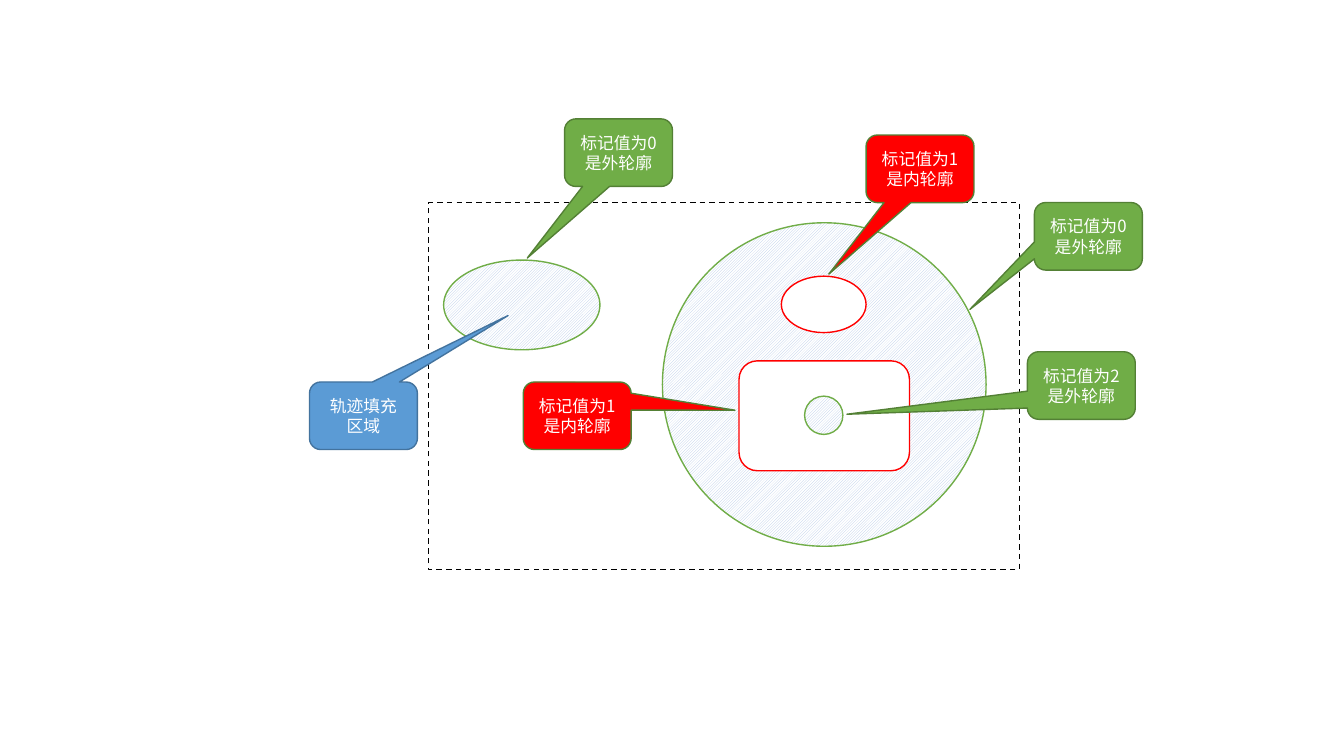
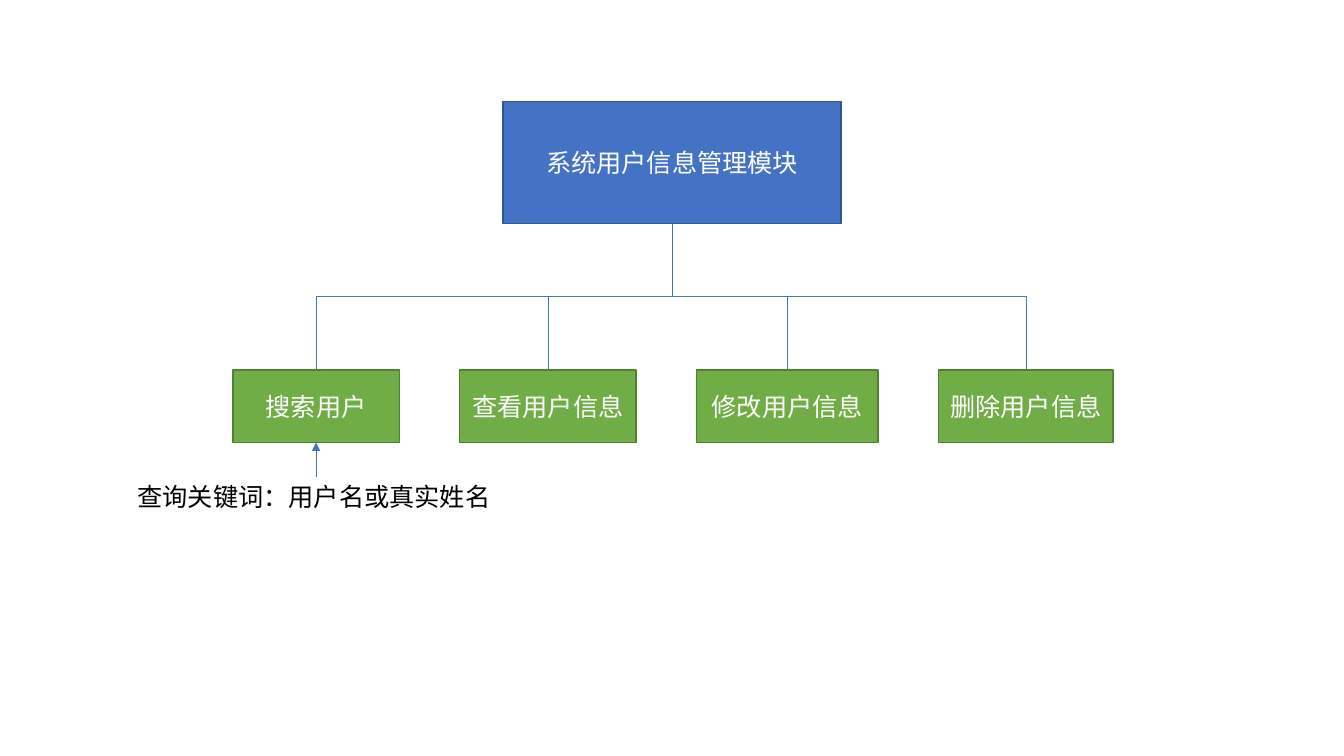
from lxml.etree import SubElement
from pptx import Presentation
from pptx.dml.color import RGBColor
from pptx.enum.dml import MSO_LINE, MSO_PATTERN
from pptx.enum.shapes import MSO_CONNECTOR as CONN, MSO_SHAPE as SHAPE
from pptx.enum.text import MSO_ANCHOR, MSO_AUTO_SIZE, PP_ALIGN
from pptx.oxml.ns import qn
from pptx.util import Inches, Pt

FONT = "Noto Sans CJK SC"
WHITE = RGBColor(0xFF, 0xFF, 0xFF)
BLACK = RGBColor(0x00, 0x00, 0x00)
RED = RGBColor(0xFF, 0x00, 0x00)
GREEN = RGBColor(0x70, 0xAD, 0x47)
MOSS = RGBColor(0x53, 0x80, 0x35)
SKY = RGBColor(0x5B, 0x9B, 0xD5)
STEEL = RGBColor(0x43, 0x73, 0x9E)
BLUE = RGBColor(0x44, 0x72, 0xC4)
NAVY = RGBColor(0x32, 0x54, 0x91)
HATCH = RGBColor(0xB4, 0xC7, 0xE7)


def add_text(shape, text, size, color, align):
    para = shape.text_frame.paragraphs[0]
    para.alignment = align
    run = para.add_run()
    run.text = text
    font = run.font
    font.size, font.name = Pt(size), FONT
    font.color.rgb = color
    SubElement(font._element, qn("a:ea"), typeface=FONT)


def add_box(shapes, kind, box, fill, line, text="", size=18):
    """Add a filled, outlined shape; a fill of None means hatching."""
    shape = shapes.add_shape(kind, *map(Inches, box))
    shape.shadow.inherit = False
    if fill is None:
        shape.fill.patterned()
        shape.fill.pattern = MSO_PATTERN.DARK_UPWARD_DIAGONAL
        shape.fill.fore_color.rgb = HATCH
        shape.fill.back_color.rgb = WHITE
    else:
        shape.fill.solid()
        shape.fill.fore_color.rgb = fill
    shape.line.color.rgb = line
    shape.line.width = Pt(1)
    if text:
        shape.text_frame.word_wrap = True
        shape.text_frame.vertical_anchor = MSO_ANCHOR.MIDDLE
        add_text(shape, text, size, WHITE, PP_ALIGN.CENTER)
    return shape


def add_call(shapes, left, top, tip, fill, line, text):
    """Add a callout whose pointer ends at tip."""
    wide, high = 1.07, 0.67
    call = add_box(shapes, SHAPE.ROUNDED_RECTANGULAR_CALLOUT,
                   (left, top, wide, high), fill, line, text, 12)
    call.adjustments[0] = (tip[0] - left) / wide - 0.5
    call.adjustments[1] = (tip[1] - top) / high - 0.5


def add_line(shapes, kind, start, end):
    line = shapes.add_connector(kind, *map(Inches, start + end))
    line.line.color.rgb = BLUE
    line.line.width = Pt(0.5)
    SubElement(line._element.spPr, qn("a:effectLst"))
    return line


def add_elbow(shapes, start, end):
    """Add an elbow that leaves start and reaches end vertically."""
    (x1, y1), (x2, y2) = start, end
    mid_x, mid_y = (x1 + x2) / 2, (y1 + y2) / 2
    half_w, half_h = (y2 - y1) / 2, abs(x2 - x1) / 2
    side = 1 if x2 < x1 else -1
    line = add_line(shapes, CONN.ELBOW,
                    (mid_x - side * half_w, mid_y - half_h),
                    (mid_x + side * half_w, mid_y + half_h))
    line.rotation = 0
    xfrm = line._element.spPr.find(qn("a:xfrm"))
    xfrm.set("rot", str((90 if side > 0 else 270) * 60000))


def draw_areas(shapes):
    frame = add_box(shapes, SHAPE.RECTANGLE, (4.25, 2.01, 5.86, 3.64),
                    WHITE, BLACK)
    frame.line.dash_style = MSO_LINE.DASH
    for kind, box, fill, line in (
            (SHAPE.OVAL, (4.4, 2.58, 1.55, 0.89), None, GREEN),
            (SHAPE.OVAL, (6.57, 2.21, 3.21, 3.21), None, GREEN),
            (SHAPE.OVAL, (7.75, 2.74, 0.84, 0.56), WHITE, RED),
            (SHAPE.ROUNDED_RECTANGLE, (7.33, 3.58, 1.69, 1.09), WHITE, RED),
            (SHAPE.OVAL, (7.98, 3.93, 0.38, 0.38), None, GREEN)):
        add_box(shapes, kind, box, fill, line)


def draw_calls(shapes):
    for left, top, tip, level in (
            (5.6, 1.18, (5.23, 2.56), 0),
            (8.59, 1.34, (8.22, 2.72), 1),
            (10.26, 2.01, (9.62, 3.07), 0),
            (5.19, 3.79, (7.29, 4.07), 1),
            (10.19, 3.49, (8.4, 4.11), 2)):
        fill, side = (RED, "内") if level % 2 else (GREEN, "外")
        add_call(shapes, left, top, tip, fill, MOSS,
                 f"标记值为{level}是{side}轮廓")
    add_call(shapes, 3.07, 3.79, (5.04, 3.13), SKY, STEEL, "轨迹填充区域")


def draw_tree(shapes, box):
    """Draw the root in box, its row of children and the search note."""
    left, top, wide, high = box
    add_box(shapes, SHAPE.RECTANGLE, box, BLUE, NAVY, "系统用户信息管理模块")
    root = (left + wide / 2, top + high)
    row, tall, gap = top + 2.66, 0.72, 0.6
    group = shapes.add_group_shape().shapes
    x = left - 2.68
    mids = []
    for text, width in (("搜索用户", 1.65), ("查看用户信息", 1.75),
                        ("修改用户信息", 1.8), ("删除用户信息", 1.73)):
        add_box(group, SHAPE.RECTANGLE, (x, row, width, tall),
                GREEN, MOSS, text)
        mids.append(x + width / 2)
        x += width + gap
    for mid in mids:
        add_elbow(shapes, root, (mid, row))

    note_y = row + 1.06
    note = shapes.add_textbox(*map(Inches, (mids[0] - 1.87, note_y,
                                            3.74, 0.4)))
    note.text_frame.word_wrap = False
    note.text_frame.auto_size = MSO_AUTO_SIZE.SHAPE_TO_FIT_TEXT
    add_text(note, "查询关键词：用户名或真实姓名", 18, BLACK, PP_ALIGN.LEFT)
    arrow = add_line(shapes, CONN.STRAIGHT, (mids[0], note_y),
                     (mids[0], row + tall))
    SubElement(arrow.line._get_or_add_ln(), qn("a:tailEnd"), type="triangle")


def main():
    deck = Presentation()
    deck.slide_width, deck.slide_height = Inches(13.33), Inches(7.5)
    blank = deck.slide_layouts[6]
    fill_map = deck.slides.add_slide(blank).shapes
    draw_areas(fill_map)
    draw_calls(fill_map)
    draw_tree(deck.slides.add_slide(blank).shapes, (4.99, 1.01, 3.35, 1.21))
    deck.save("out.pptx")


if __name__ == "__main__":
    main()
